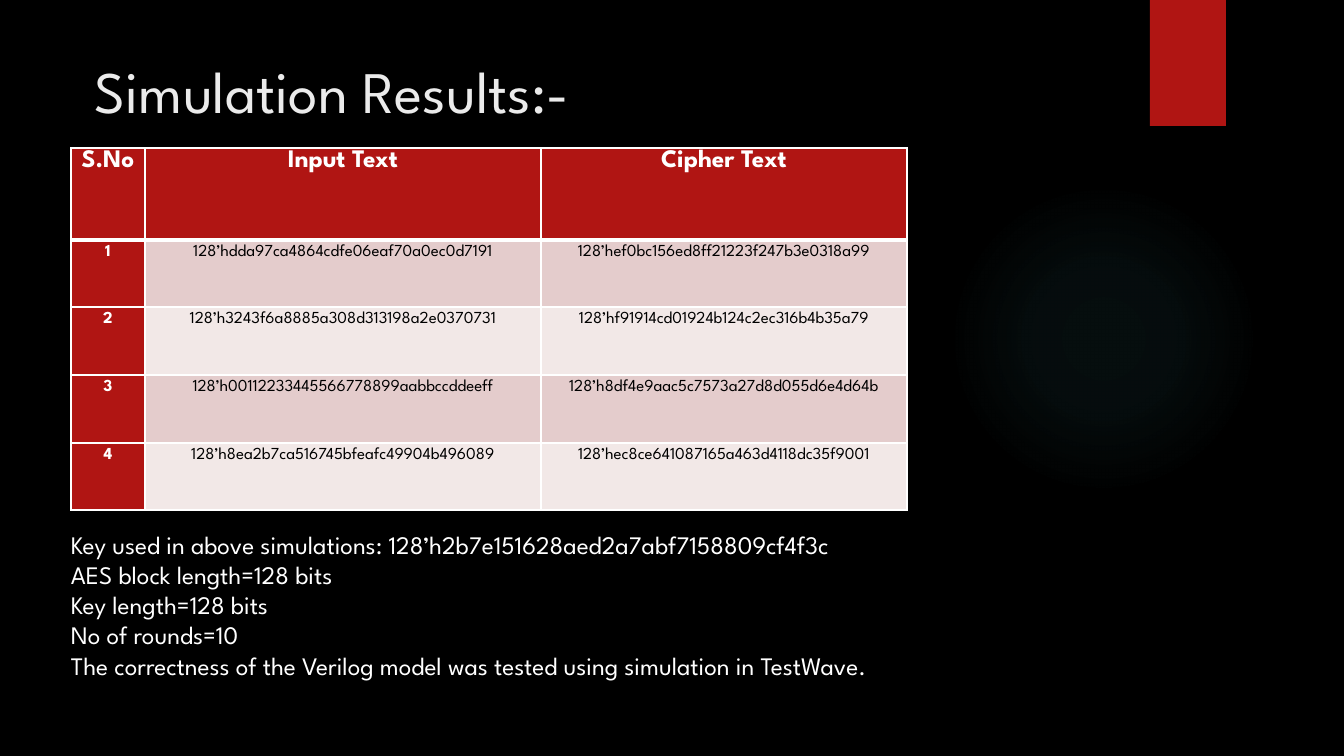
"""Build the slide of AES simulation results."""
from lxml import etree
from pptx import Presentation
from pptx.dml.color import RGBColor
from pptx.enum.shapes import MSO_SHAPE
from pptx.enum.text import MSO_ANCHOR, PP_ALIGN
from pptx.oxml import parse_xml
from pptx.oxml.ns import nsdecls, qn
from pptx.util import Pt

OVAL, RECTANGLE = MSO_SHAPE.OVAL, MSO_SHAPE.RECTANGLE
TOP, LEFT, CENTER = MSO_ANCHOR.TOP, PP_ALIGN.LEFT, PP_ALIGN.CENTER
BLACK = RGBColor(0x00, 0x00, 0x00)
WHITE = RGBColor(0xFF, 0xFF, 0xFF)
TITLE_GREY = RGBColor(0xEB, 0xEB, 0xEB)
RED = RGBColor(0xB0, 0x15, 0x13)
ROSE = RGBColor(0xE4, 0xCC, 0xCC)
PALE_ROSE = RGBColor(0xF2, 0xE8, 0xE7)
TEAL = RGBColor(0x50, 0xB9, 0xC1)
EMU_PER_PIXEL = 914400 / 100.8


def emu(pixels):
    """Turn pixels into EMU."""
    return round(pixels * EMU_PER_PIXEL)


class Canvas:
    """Hold the font and the current slide, and add elements to it."""

    def __init__(self, page, font):
        """Keep the slide and the font name."""
        self.page = page
        self.font = font

    def span(self, para, text, size, color, bold=False):
        """Add one styled run."""
        run = para.add_run()
        run.text = text
        run.font.name = self.font
        run.font.size = Pt(size)
        run.font.color.rgb = color
        run.font.bold = bold

    def text(self, area, lines, size, color):
        """Add a text box with one paragraph per line."""
        box = self.page.shapes.add_textbox(*map(emu, area))
        frame = box.text_frame
        frame.word_wrap = True
        frame.vertical_anchor = TOP
        for index, line in enumerate(lines):
            para = frame.add_paragraph() if index else frame.paragraphs[0]
            para.alignment = LEFT
            self.span(para, line, size, color)

    def shape(self, kind, area, color):
        """Add a filled shape without outline."""
        shape = self.page.shapes.add_shape(kind, *map(emu, area))
        shape.shadow.inherit = False
        shape.fill.solid()
        shape.fill.fore_color.rgb = color
        shape.line.fill.background()
        return shape

    def glow(self, area, color, stops):
        """Add a circle that fades out from its centre."""
        properties = self.shape(OVAL, area, color)._element.spPr
        marks = "".join(
            f'<a:gs pos="{position * 1000}"><a:srgbClr val="{color}">'
            f'<a:alpha val="{alpha * 1000}"/></a:srgbClr></a:gs>'
            for position, alpha in stops)
        gradient = parse_xml(
            f'<a:gradFill {nsdecls("a")} rotWithShape="1"><a:gsLst>{marks}</a:gsLst>'
            '<a:path path="circle"><a:fillToRect l="50000" t="50000" '
            'r="50000" b="50000"/></a:path></a:gradFill>')
        properties.replace(properties.find(qn("a:solidFill")), gradient)

    def borders(self, cell, color, widths):
        """Draw the left, right, top and bottom borders of a cell."""
        properties = cell._tc.get_or_add_tcPr()
        for index, (side, width) in enumerate(zip("LRTB", widths)):
            line = etree.Element(qn(f"a:ln{side}"), w=str(Pt(width)))
            fill = etree.SubElement(line, qn("a:solidFill"))
            etree.SubElement(fill, qn("a:srgbClr"), val=str(color))
            properties.insert(index, line)

    def cell(self, cell, text, fill, color, size, bold, spacing, widths):
        """Fill, border and write one table cell."""
        cell.fill.solid()
        cell.fill.fore_color.rgb = fill
        cell.margin_left = cell.margin_right = emu(7)
        cell.margin_top = cell.margin_bottom = 0
        cell.vertical_anchor = TOP
        para = cell.text_frame.paragraphs[0]
        para.alignment = CENTER
        para.line_spacing = spacing
        para.space_after = Pt(6)
        self.span(para, text, size, color, bold)
        self.borders(cell, WHITE, widths)

    def table(self, left, top, widths, heights, rows):
        """Add a table with a header row, a header column and banded rows."""
        area = (left, top, sum(widths), sum(heights))
        table = self.page.shapes.add_table(
            len(rows), len(widths), *map(emu, area)).table
        for column, width in zip(table.columns, widths):
            column.width = emu(width)
        for row, height in zip(table.rows, heights):
            row.height = emu(height)
        for r, row in enumerate(rows):
            size, spacing = (12, Pt(14.2)) if r else (18, 1.07)
            edges = (1, 1, 3 if r == 1 else 1, 1 if r else 3)
            for c, text in enumerate(row):
                heading = r == 0 or c == 0
                band = ROSE if r % 2 else PALE_ROSE
                self.cell(table.cell(r, c), text, RED if heading else band,
                          WHITE if heading else BLACK, size, heading,
                          spacing, edges)


RESULTS = [
    ("S.No", "Input Text", "Cipher Text"),
    ("1", "128’hdda97ca4864cdfe06eaf70a0ec0d7191",
     "128’hef0bc156ed8ff21223f247b3e0318a99"),
    ("2", "128’h3243f6a8885a308d313198a2e0370731",
     "128’hf91914cd01924b124c2ec316b4b35a79"),
    ("3", "128’h00112233445566778899aabbccddeeff",
     "128’h8df4e9aac5c7573a27d8d055d6e4d64b"),
    ("4", "128’h8ea2b7ca516745bfeafc49904b496089",
     "128’hec8ce641087165a463d4118dc35f9001"),
]
NOTES = [
    "Key used in above simulations: 128’h2b7e151628aed2a7abf7158809cf4f3c",
    "AES block length=128 bits",
    "Key length=128 bits",
    "No of rounds=10",
    "The correctness of the Verilog model was tested using simulation in TestWave.",
]

deck = Presentation()
deck.slide_width, deck.slide_height = emu(1344), emu(756)
page = deck.slides.add_slide(deck.slide_layouts[6])
page.background.fill.solid()
page.background.fill.fore_color.rgb = BLACK

canvas = Canvas(page, "League Spartan")
canvas.glow((949, 184, 310, 310), TEAL, [(0, 7), (36, 6), (69, 0)])
canvas.shape(RECTANGLE, (1150, 0, 76, 126), RED)
canvas.text((85, 50, 1024, 80), ["Simulation Results:-"], 42, TITLE_GREY)
canvas.table(71, 148, (74, 396, 366), (92, 67, 68, 68, 67), RESULTS)
canvas.text((61, 524, 882, 224), NOTES, 18, WHITE)
deck.save("out.pptx")
